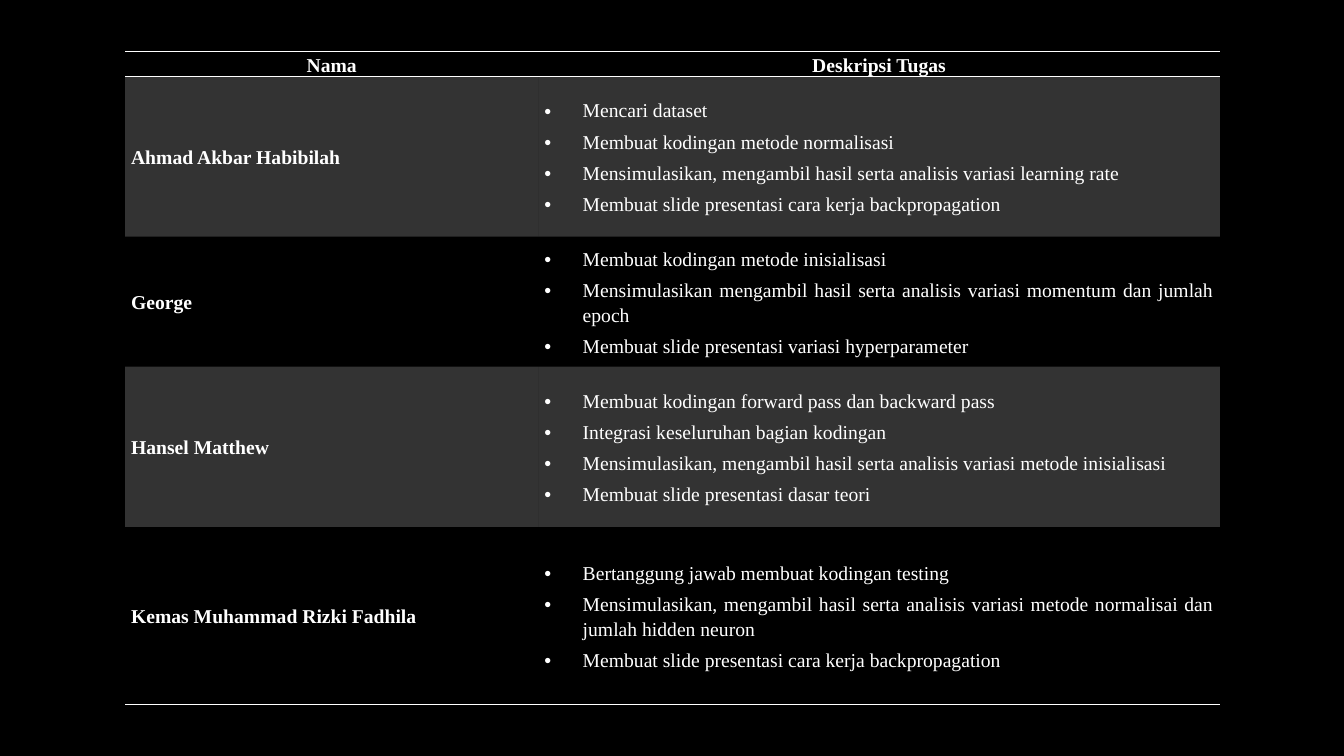
from lxml import etree
from pptx import Presentation
from pptx.dml.color import RGBColor
from pptx.enum.text import MSO_ANCHOR, PP_ALIGN
from pptx.oxml.ns import qn
from pptx.util import Inches, Pt

CENTER, LEFT, JUSTIFY = PP_ALIGN.CENTER, PP_ALIGN.LEFT, PP_ALIGN.JUSTIFY
MIDDLE = MSO_ANCHOR.MIDDLE
NO_STYLE = "{2D5ABB26-0587-4C30-8999-92F81FD0307C}"

HEADINGS = ("Nama", "Deskripsi Tugas")
MEMBERS = [
    ("Ahmad Akbar Habibilah", 1.59, [
        "Mencari dataset",
        "Membuat kodingan metode normalisasi",
        "Mensimulasikan, mengambil hasil serta analisis variasi learning rate",
        "Membuat slide presentasi cara kerja backpropagation",
    ]),
    ("George", 1.29, [
        "Membuat kodingan metode inisialisasi",
        "Mensimulasikan mengambil hasil serta analisis variasi momentum dan jumlah epoch",
        "Membuat slide presentasi variasi hyperparameter",
    ]),
    ("Hansel Matthew", 1.59, [
        "Membuat kodingan forward pass dan backward pass",
        "Integrasi keseluruhan bagian kodingan",
        "Mensimulasikan, mengambil hasil serta analisis variasi metode inisialisasi",
        "Membuat slide presentasi dasar teori",
    ]),
    ("Kemas Muhammad Rizki Fadhila", 1.76, [
        "Bertanggung jawab membuat kodingan testing",
        "Mensimulasikan, mengambil hasil serta analisis variasi metode normalisai dan jumlah hidden neuron",
        "Membuat slide presentasi cara kerja backpropagation",
    ]),
]


def color(value):
    return RGBColor.from_string(value)


def add_bullet(para):
    properties = para._p.get_or_add_pPr()
    properties.set("marL", str(Inches(0.38)))
    properties.set("indent", str(-Inches(0.38)))
    etree.SubElement(properties, qn("a:buFont"), typeface="Arial")
    etree.SubElement(properties, qn("a:buChar"), char="•")


class TaskPage:
    font = "Times New Roman"
    size = 14
    ink = "FFFFFF"
    background = "000000"

    def __init__(self, deck):
        self.page = deck.slides.add_slide(deck.slide_layouts[6])
        fill = self.page.background.fill
        fill.solid()
        fill.fore_color.rgb = color(self.background)

    def fill_text(self, cell, lines, align=LEFT, bold=False, bullet=False):
        cell.margin_left = cell.margin_right = Inches(0.06)
        cell.margin_top = cell.margin_bottom = 0
        cell.vertical_anchor = MIDDLE
        frame = cell.text_frame
        for index, line in enumerate(lines):
            para = frame.add_paragraph() if index else frame.paragraphs[0]
            if bullet:
                add_bullet(para)
            para.alignment = align
            para.line_spacing = 1.15
            para.space_before = Pt(4.5 if index else 0)
            span = para.add_run()
            span.text = line
            span.font.name = self.font
            span.font.size = Pt(self.size)
            span.font.bold = bold
            span.font.color.rgb = color(self.ink)

    def shade(self, cell, shaded):
        if not shaded:
            cell.fill.background()
            return
        cell.fill.solid()
        cell.fill.fore_color.rgb = color(self.ink)
        tint = cell._tc.tcPr.find(".//" + qn("a:srgbClr"))
        etree.SubElement(tint, qn("a:alpha"), val="20000")

    def rule(self, cell, sides):
        for index, side in enumerate(sides):
            line = etree.Element(qn(f"a:ln{side}"), w=str(Pt(1)))
            fill = etree.SubElement(line, qn("a:solidFill"))
            etree.SubElement(fill, qn("a:srgbClr"), val=self.ink)
            cell._tc.tcPr.insert(index, line)

    def table(self, left, top, widths, heights):
        frame = self.page.shapes.add_table(
            len(heights), len(widths), Inches(left), Inches(top),
            Inches(sum(widths)), Inches(sum(heights)))
        table = frame.table
        table.first_row = table.horz_banding = False
        table._tbl.tblPr.find(qn("a:tableStyleId")).text = NO_STYLE
        for column, width in zip(table.columns, widths):
            column.width = Inches(width)
        for row, height in zip(table.rows, heights):
            row.height = Inches(height)
        return table


def main():
    deck = Presentation()
    deck.slide_width, deck.slide_height = Inches(13.33), Inches(7.5)
    page = TaskPage(deck)
    heights = [0.22] + [height for _, height, _ in MEMBERS]
    table = page.table(1.24, 0.51, [4.1, 6.76], heights)
    for column, heading in enumerate(HEADINGS):
        page.fill_text(table.cell(0, column), [heading], align=CENTER, bold=True)
    for row, (name, _, tasks) in enumerate(MEMBERS, 1):
        page.fill_text(table.cell(row, 0), [name], bold=True)
        page.fill_text(table.cell(row, 1), tasks, align=JUSTIFY, bullet=True)
    ruled_sides = {0: "TB", len(MEMBERS): "B"}
    for row in range(len(heights)):
        for column in range(len(HEADINGS)):
            cell = table.cell(row, column)
            page.shade(cell, row % 2 == 1)
            page.rule(cell, ruled_sides.get(row, ""))
    deck.save("out.pptx")


if __name__ == "__main__":
    main()
